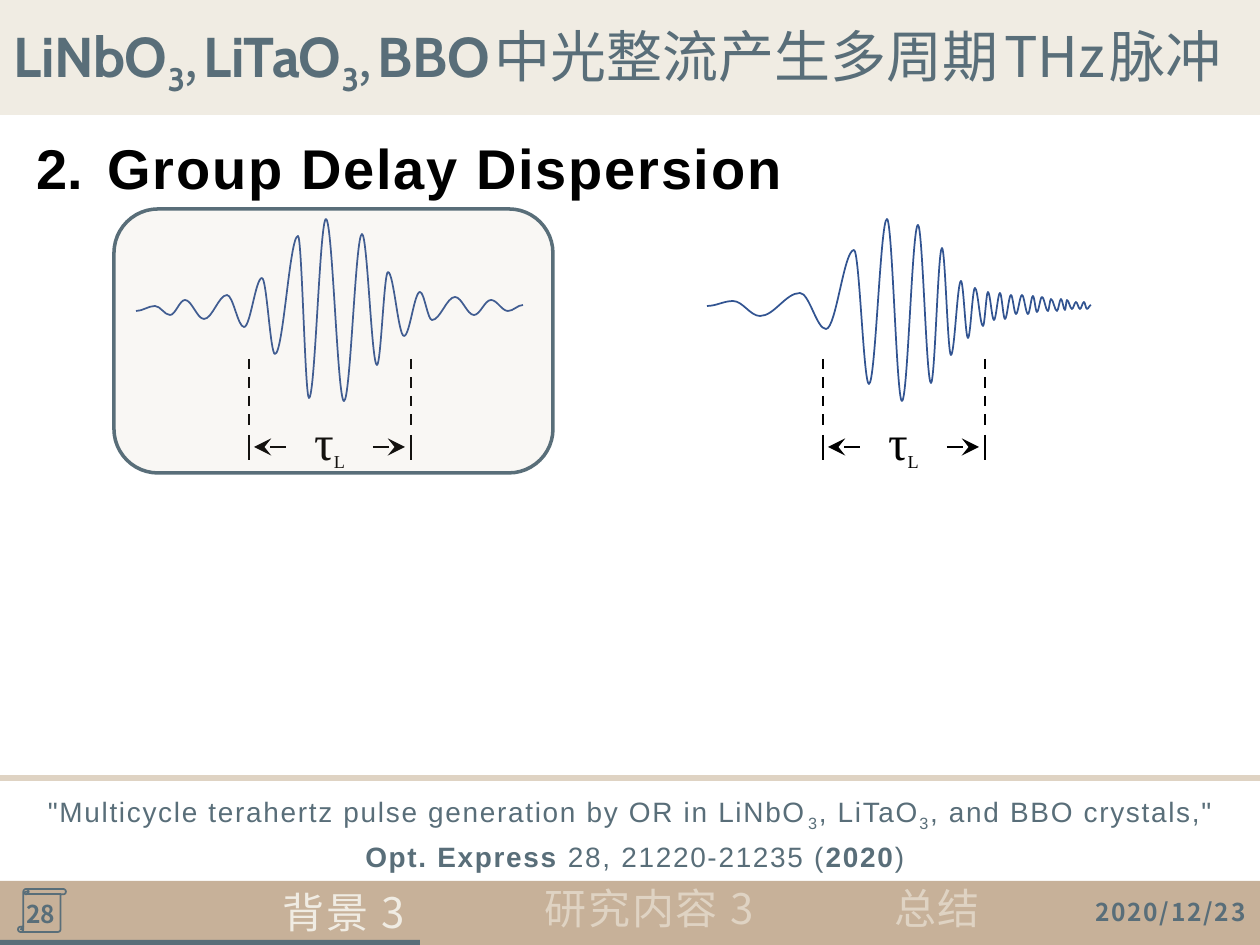
import lxml.etree
import pptx
import pptx.dml.color
import pptx.enum.dml
import pptx.enum.shapes
import pptx.enum.text
import pptx.oxml.ns
import pptx.util

PX = 914400 / 126
COLORS = {
    "slate": "596E79", "cream": "F0ECE3", "tan": "C7B199", "sand": "DFD3C3",
    "wave": "325491", "black": "000000",
}
RGB = {name: pptx.dml.color.RGBColor.from_string(value) for name, value in COLORS.items()}
SHAPE = pptx.enum.shapes.MSO_SHAPE
ALIGN = pptx.enum.text.PP_ALIGN
ANCHOR = pptx.enum.text.MSO_ANCHOR
qn = pptx.oxml.ns.qn

deck = pptx.Presentation()
deck.slide_width, deck.slide_height = round(1260 * PX), round(945 * PX)
page = deck.slides.add_slide(deck.slide_layouts[5])


def write(area, lines, size, font, color, box=None, bold=False, spacing=0,
          align=ALIGN.CENTER, anchor=ANCHOR.TOP, leading=1.0, wrap=False):
    left, top, width, height = [round(n * PX) for n in area]
    box = box or page.shapes.add_textbox(left, top, width, height)
    box.left, box.top, box.width, box.height = left, top, width, height
    frame = box.text_frame
    frame.auto_size = pptx.enum.text.MSO_AUTO_SIZE.NONE
    frame.word_wrap = wrap
    frame.vertical_anchor = anchor
    for index, line in enumerate(lines):
        para = frame.add_paragraph() if index else frame.paragraphs[0]
        para.alignment = align
        para.line_spacing = leading
        for text, changes in line:
            look = {"size": size, "font": font, "bold": bold, "sub": False} | changes
            span = para.add_run()
            span.text = text
            span.font.size = pptx.util.Pt(look["size"])
            span.font.name = look["font"]
            span.font.bold = look["bold"]
            span.font.color.rgb = RGB[color]
            props = span.font._element
            east = lxml.etree.SubElement(props, qn("a:ea"))
            east.set("typeface", look["font"])
            if spacing:
                props.set("spc", str(spacing * 100))
            if look["sub"]:
                props.set("baseline", "-25000")
    return box


def draw_line(start, end, color="black", weight=1.5, dashed=False, arrow=False):
    line = page.shapes.add_connector(
        pptx.enum.shapes.MSO_CONNECTOR.STRAIGHT, *[round(n * PX) for n in (*start, *end)])
    line.line.color.rgb = RGB[color]
    line.line.width = pptx.util.Pt(weight)
    if dashed:
        line.line.dash_style = pptx.enum.dml.MSO_LINE.DASH
    if arrow:
        tip = lxml.etree.SubElement(line.line._get_or_add_ln(), qn("a:tailEnd"))
        tip.set("type", "stealth")
        tip.set("w", "lg")
        tip.set("len", "lg")
    lxml.etree.SubElement(line._element.spPr, qn("a:effectLst"))


SUB = {"sub": True}
CJK = "Noto Sans CJK SC"

blocks = [
    (SHAPE.RECTANGLE, (0, -6, 1260, 121), "cream", None, 0),
    (SHAPE.RECTANGLE, (0, 881, 1260, 64), "tan", None, 0),
    (SHAPE.VERTICAL_SCROLL, (18, 889, 48, 43), None, "slate", 1),
    (SHAPE.RECTANGLE, (0, 940, 420, 5), "slate", None, 0),
    (SHAPE.ROUNDED_RECTANGLE, (114, 209, 439, 264), "tan", "slate", 2),
]
for kind, area, fill, outline, weight in blocks:
    block = page.shapes.add_shape(kind, *[round(n * PX) for n in area])
    block.shadow.inherit = False
    if fill:
        block.fill.solid()
        block.fill.fore_color.rgb = RGB[fill]
    else:
        block.fill.background()
    if outline:
        block.line.color.rgb = RGB[outline]
        block.line.width = pptx.util.Pt(weight)
    else:
        block.line.fill.background()
    if kind == SHAPE.ROUNDED_RECTANGLE:
        tint = block._element.spPr.find(qn("a:solidFill"))[0]
        lxml.etree.SubElement(tint, qn("a:alpha")).set("val", "10000")
        pulse_frame = block

title = page.shapes.title
page.shapes._spTree.append(title._element)
latin = {"font": "Cabin", "bold": True}
thin = {"size": 12}
comma = {"size": 28}
write((1, 15, 1260, 81), [[
    ("LiNbO", latin), ("3", latin | SUB), (",", comma), (" ", thin),
    ("LiTaO", latin), ("3", latin | SUB), (",", comma), (" ", thin),
    ("BBO", latin), (" ", thin), ("中光整流产生多周期", {}), (" ", thin),
    ("THz", {}), (" ", thin), ("脉冲", {}),
]], 32, CJK, "slate", box=title, align=ALIGN.LEFT, wrap=True)
title.text_frame.margin_right = 0

heading = write((24, 114, 789, 87), [[("Group Delay Dispersion", {})]], 32, "Arial", "black",
                bold=True, spacing=1, align=ALIGN.LEFT, leading=1.2, wrap=True)
numbered = heading.text_frame.paragraphs[0]._p.get_or_add_pPr()
numbered.set("marL", str(round(71 * PX)))
numbered.set("indent", str(round(-71 * PX)))
lxml.etree.SubElement(numbered, qn("a:buFont")).set("typeface", "+mj-lt")
number = lxml.etree.SubElement(numbered, qn("a:buAutoNum"))
number.set("type", "arabicPeriod")
number.set("startAt", "2")

waves = [
    [(136, 311), (155, 306), (170, 315), (185, 300), (204, 319), (227, 295), (244, 327),
     (262, 278), (275, 354), (298, 236), (309, 398), (326, 219), (344, 401), (362, 234),
     (377, 365), (388, 272), (404, 336), (420, 292), (432, 320), (455, 297), (474, 315),
     (491, 300), (508, 311), (523, 305)],
    [(707, 306), (733, 301), (760, 316), (800, 293), (826, 329), (854, 250), (869, 384),
     (887, 219), (902, 401), (918, 225), (931, 383), (942, 248), (951, 355), (961, 281),
     (968, 338), (975, 288), (983, 326), (988, 292), (994, 320), (1000, 293), (1005, 319),
     (1011, 295), (1016, 314), (1022, 295), (1028, 314), (1033, 296), (1037, 312),
     (1042, 297), (1048, 311), (1051, 299), (1057, 311), (1061, 299), (1065, 310),
     (1067, 300), (1072, 309), (1076, 302), (1080, 309), (1084, 302), (1087, 309),
     (1091, 305)],
]
for peaks in waves:
    points = [(round(x * PX), round(y * PX)) for x, y in peaks]
    builder = page.shapes.build_freeform(*points[0])
    builder.add_line_segments(points[1:], close=False)
    wave = builder.convert_to_shape()
    wave.shadow.inherit = False
    wave.fill.background()
    wave.line.color.rgb = RGB["wave"]
    wave.line.width = pptx.util.Pt(1)
    segments = list(wave._element.iter(qn("a:lnTo")))
    for segment, (x0, y0), (x1, y1) in zip(segments, points, points[1:]):
        reach = round((x1 - x0) * 0.36)
        curve = lxml.etree.SubElement(segment.getparent(), qn("a:cubicBezTo"))
        for x, y in ((x0 + reach, y0), (x1 - reach, y1), (x1, y1)):
            corner = lxml.etree.SubElement(curve, qn("a:pt"))
            corner.set("x", str(x - wave.left))
            corner.set("y", str(y - wave.top))
        segment.getparent().remove(segment)

for left in (249, 823):
    for edge in (left, left + 162):
        draw_line((edge, 359), (edge, 427), dashed=True)
        draw_line((edge, 435), (edge, 460))
    for start, end in ((37, 5), (124, 156)):
        draw_line((left + start, 447), (left + end, 447), arrow=True)
    write((left + 28, 410, 105, 68), [[("τ", {}), ("L", SUB | {"size": 18})]], 28,
          "Times New Roman", "black", anchor=ANCHOR.BOTTOM, leading=1.5, wrap=True)
page.shapes._spTree.append(pulse_frame._element)

draw_line((0, 778), (1260, 778), "sand", 3.25)
strong = {"bold": True}
write((-10, 789, 1280, 82), [
    [('"Multicycle terahertz pulse generation by OR in LiNbO', {}), ("3", SUB),
     (", LiTaO", {}), ("3", SUB), (', and BBO crystals,"', {})],
    [(" ", {}), ("Opt. Express ", strong), ("28, 21220-21235 (", {}), ("2020", strong),
     (")", {})],
], 16, "Arial", "slate", spacing=1, anchor=ANCHOR.MIDDLE, leading=1.2, wrap=True)

for area, label, color, leading in (
    ((263, 870, 161, 69), "背景 3", "cream", 1.2),
    ((526, 876, 247, 63), "研究内容 3", "sand", 1.0),
    ((871, 876, 132, 63), "总结", "sand", 1.0),
):
    write(area, [[(label, {})]], 24, CJK, color, spacing=1, leading=leading)

for area, label, spacing in (
    ((1081, 887, 179, 50), "2020/12/23", 1),
    ((7, 898, 67, 32), "28", 0),
):
    write(area, [[(label, {})]], 14, "Noto Sans CJK JP", "slate", bold=True,
          spacing=spacing, anchor=ANCHOR.MIDDLE)

deck.save("out.pptx")
